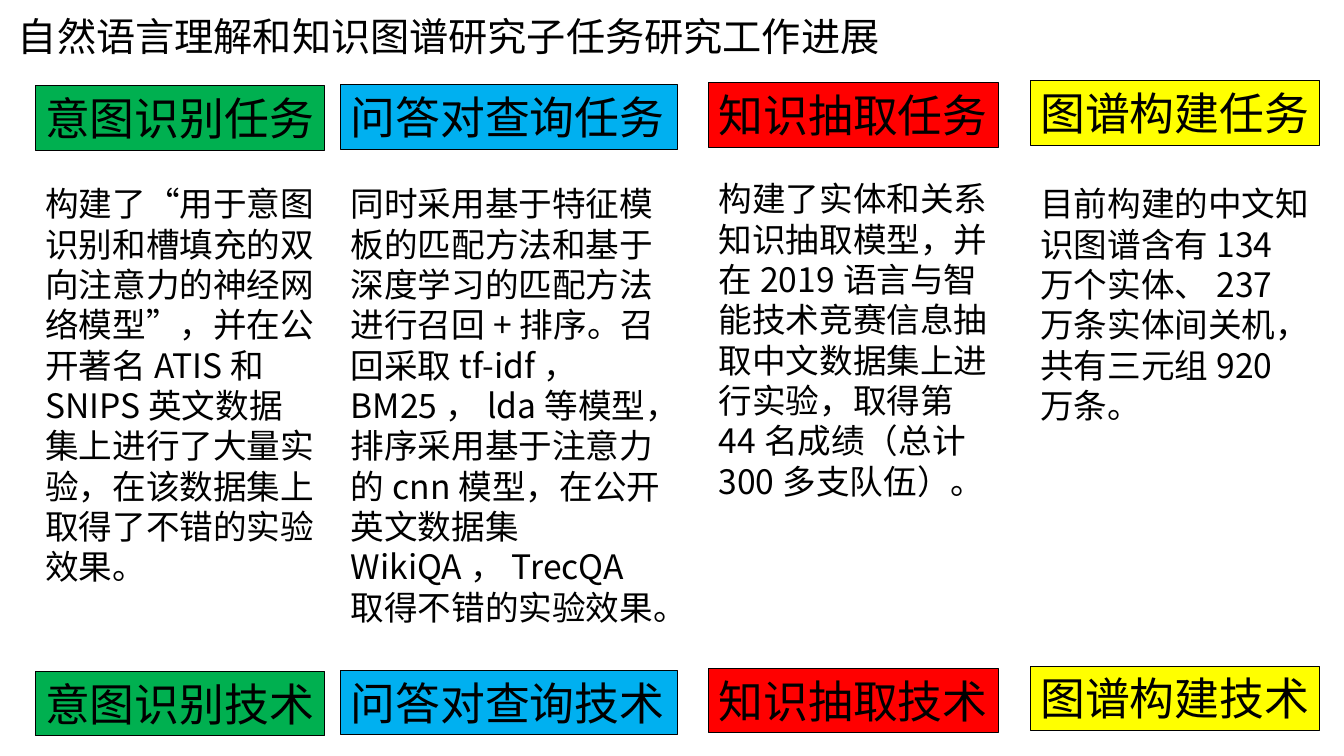
from dataclasses import dataclass

from lxml.etree import SubElement
from pptx import Presentation
from pptx.dml.color import RGBColor as Rgb
from pptx.enum.shapes import MSO_SHAPE as Kind
from pptx.enum.text import MSO_ANCHOR as Anchor, MSO_AUTO_SIZE as Fit, PP_ALIGN as Align
from pptx.oxml.ns import qn
from pptx.shapes.autoshape import Shape
from pptx.slide import Slide
from pptx.util import Inches, Pt

FONT = "Noto Sans CJK SC"
COLORS = {
    "ink": "000000",
    "green": "00B050",
    "blue": "00B0F0",
    "red": "FF0000",
    "yellow": "FFFF00",
}
BAR_H = 0.64
TECH_GAP = 5.81


@dataclass
class Topic:
    name: str
    color: str
    left: float
    width: float
    top: float
    body: str
    body_top: float
    body_w: float
    body_h: float


TOPICS = [
    Topic("意图识别", "green", 0.35, 2.87, 0.85,
          "构建了“用于意图识别和槽填充的双向注意力的神经网络模型”，并在公开著名ATIS和SNIPS英文数据集上"
          "进行了大量实验，在该数据集上取得了不错的实验效果。",
          1.77, 2.87, 3.74),
    Topic("问答对查询", "blue", 3.38, 3.34, 0.84,
          "同时采用基于特征模板的匹配方法和基于深度学习的匹配方法进行召回+排序。召回采取tf-idf，BM25，lda等模型，"
          "排序采用基于注意力的cnn模型，在公开英文数据集WikiQA，TrecQA取得不错的实验效果。",
          1.77, 3.29, 4.54),
    Topic("知识抽取", "red", 7.03, 2.87, 0.82,
          "构建了实体和关系知识抽取模型，并在2019语言与智能技术竞赛信息抽取中文数据集上进行实验，"
          "取得第44名成绩（总计300多支队伍）。",
          1.72, 2.87, 3.33),
    Topic("图谱构建", "yellow", 10.22, 2.87, 0.8,
          "目前构建的中文知识图谱含有134万个实体、237万条实体间关机，共有三元组920万条。",
          1.77, 2.87, 2.12),
]


def write(shape: Shape, text: str, size: int) -> None:
    frame = shape.text_frame
    frame.word_wrap = True
    frame.auto_size = Fit.SHAPE_TO_FIT_TEXT
    frame.vertical_anchor = Anchor.TOP
    para = frame.paragraphs[0]
    para.text = text
    para.alignment = Align.LEFT
    para.font.size = Pt(size)
    para.font.color.rgb = Rgb.from_string(COLORS["ink"])
    para.font.name = FONT
    # East Asian glyphs take their own typeface entry.
    SubElement(para._p.pPr.find(qn("a:defRPr")), qn("a:ea"), typeface=FONT)


def add_text(slide: Slide, left: float, top: float, width: float, height: float,
             text: str, size: int) -> None:
    box = slide.shapes.add_textbox(Inches(left), Inches(top), Inches(width), Inches(height))
    write(box, text, size)


def add_bar(slide: Slide, topic: Topic, top: float, suffix: str) -> None:
    bar = slide.shapes.add_shape(Kind.RECTANGLE, Inches(topic.left), Inches(top),
                                 Inches(topic.width), Inches(BAR_H))
    bar.shadow.inherit = False
    bar.fill.solid()
    bar.fill.fore_color.rgb = Rgb.from_string(COLORS[topic.color])
    bar.line.color.rgb = Rgb.from_string(COLORS["ink"])
    bar.line.width = Pt(0.75)
    write(bar, topic.name + suffix, 32)


def main() -> None:
    deck = Presentation()
    deck.slide_width, deck.slide_height = Inches(13.33), Inches(7.5)
    slide = deck.slides.add_slide(deck.slide_layouts[6])
    add_text(slide, 0.08, 0.07, 10.74, 0.57, "自然语言理解和知识图谱研究子任务研究工作进展", 28)
    for topic in TOPICS:
        add_bar(slide, topic, topic.top, "任务")
        add_text(slide, topic.left, topic.body_top, topic.body_w, topic.body_h, topic.body, 24)
        add_bar(slide, topic, topic.top + TECH_GAP, "技术")
    deck.save("out.pptx")


if __name__ == "__main__":
    main()
